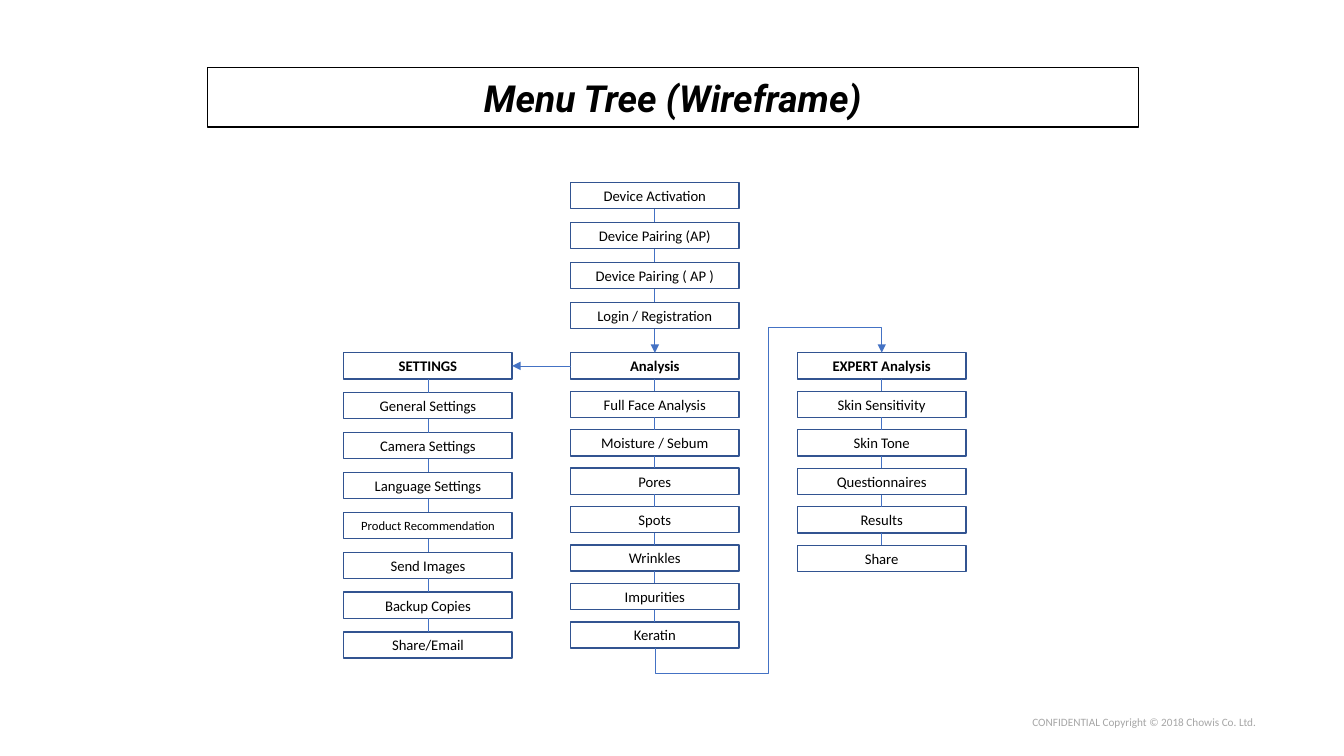
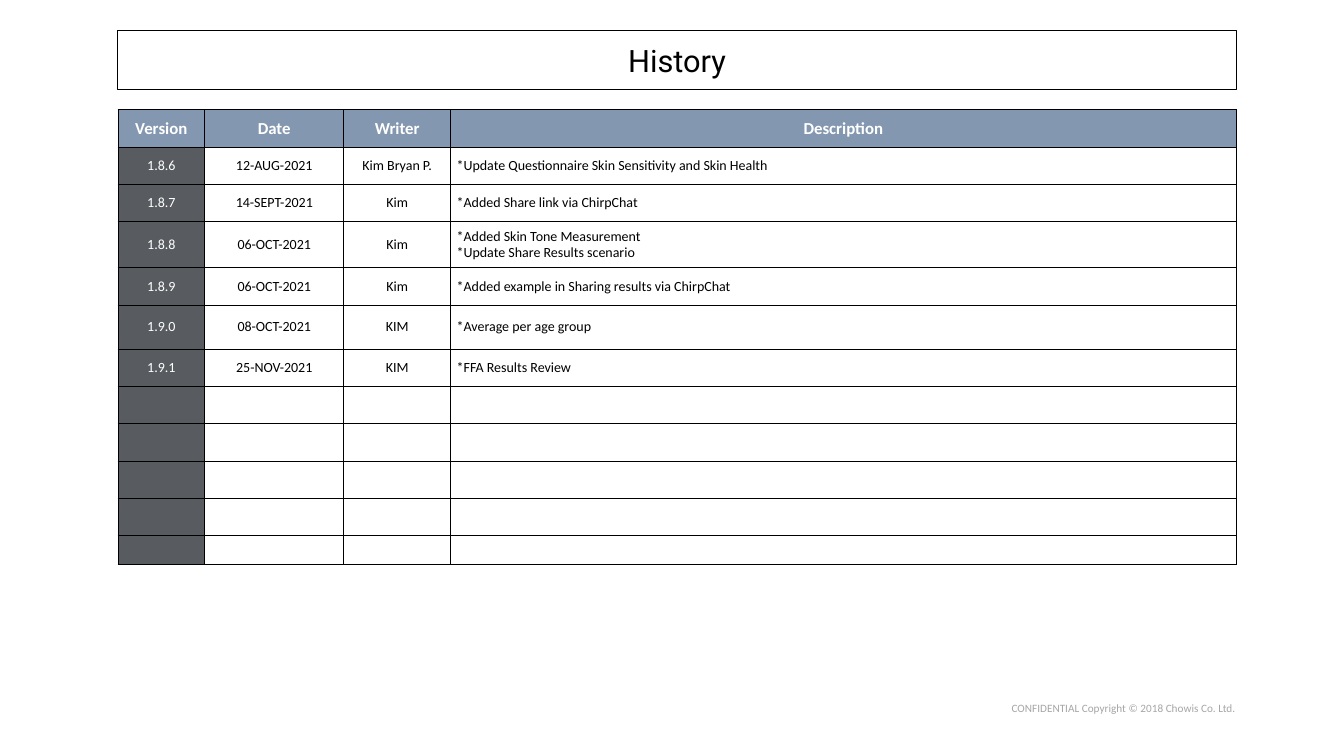
from lxml import etree
from pptx import Presentation
from pptx import util as u
from pptx.dml import color as dml
from pptx.enum import shapes, text
from pptx.oxml import ns

# Shared look
BLACK, WHITE, GRAY = "000000", "FFFFFF", "A6A6A6"
BOX_LINE, LINK = "325491", "4472C4"
HEADER_FILL, VERSION_FILL = "8497B0", "585B60"
BODY_FONT, TITLE_FONT = "Calibri", "Roboto"
FOOTER = "CONFIDENTIAL Copyright © 2018 Chowis Co. Ltd."
CENTER, LEFT = text.PP_ALIGN.CENTER, text.PP_ALIGN.LEFT
MIDDLE, TOP = text.MSO_ANCHOR.MIDDLE, text.MSO_ANCHOR.TOP
TIGHT = {f"margin_{side}": u.Inches(0.06)
         for side in ("left", "right", "top", "bottom")}

# Menu tree grid, in inches
BOX_WIDTH, BOX_HEIGHT = 1.67, 0.26
SETTINGS_X, ANALYSIS_X, EXPERT_X = 3.41, 5.66, 7.91
OVERHANG = 0.25
START_MENU = ["Device Activation", "Device Pairing (AP)",
              "Device Pairing ( AP )", "Login / Registration"]
SETTINGS_MENU = ["SETTINGS", "General Settings", "Camera Settings",
                 "Language Settings", "Product Recommendation",
                 "Send Images", "Backup Copies", "Share/Email"]
ANALYSIS_MENU = ["Analysis", "Full Face Analysis", "Moisture / Sebum",
                 "Pores", "Spots", "Wrinkles", "Impurities", "Keratin"]
EXPERT_MENU = ["EXPERT Analysis", "Skin Sensitivity", "Skin Tone",
               "Questionnaires", "Results", "Share"]

# Version history
COLUMN_WIDTHS = [0.86, 1.38, 1.06, 7.79]
ROW_HEIGHTS = [0.37, 0.37, 0.37, 0.45, 0.37, 0.44] + [0.37] * 5 + [0.28]
HISTORY = [
    ("Version", "Date", "Writer", "Description"),
    ("1.8.6", "12-AUG-2021", "Kim Bryan P.",
     "*Update Questionnaire Skin Sensitivity and Skin Health"),
    ("1.8.7", "14-SEPT-2021", "Kim", "*Added Share link via ChirpChat"),
    ("1.8.8", "06-OCT-2021", "Kim",
     "*Added Skin Tone Measurement\n*Update Share Results scenario"),
    ("1.8.9", "06-OCT-2021", "Kim",
     "*Added example in Sharing results via ChirpChat"),
    ("1.9.0", "08-OCT-2021", "KIM", "*Average per age group"),
    ("1.9.1", "25-NOV-2021", "KIM", "*FFA Results Review"),
]


def rgb(value):
    return dml.RGBColor.from_string(value)


def inches(*lengths):
    return [u.Inches(length) for length in lengths]


def apply(target, values):
    for name, value in values.items():
        setattr(target, name, value)


def write(frame, words, size, color=BLACK, align=CENTER, font=BODY_FONT,
          **extra):
    frame.text = words
    for paragraph in frame.paragraphs:
        paragraph.alignment = align
        for run in paragraph.runs:
            apply(run.font, {"name": font, "size": u.Pt(size), **extra})
            run.font.color.rgb = rgb(color)
        if not paragraph.runs:
            etree.SubElement(paragraph._p, ns.qn("a:endParaRPr"),
                             sz=str(size * 100))


def add_box(slide, at, line, width, fill=None):
    shape = slide.shapes.add_shape(shapes.MSO_SHAPE.RECTANGLE, *inches(*at))
    shape.shadow.inherit = False
    if fill:
        shape.fill.solid()
        shape.fill.fore_color.rgb = rgb(fill)
    else:
        shape.fill.background()
    shape.line.color.rgb = rgb(line)
    shape.line.width = u.Pt(width)
    apply(shape.text_frame, {"word_wrap": True, "vertical_anchor": MIDDLE})
    return shape


def add_title(slide, words, at, size, **extra):
    shape = add_box(slide, at, BLACK, 0.75)
    apply(shape.text_frame, TIGHT)
    write(shape.text_frame, words, size, font=TITLE_FONT, **extra)


def add_footer(slide, left, top, align, anchor):
    shape = slide.shapes.add_textbox(*inches(left, top, 3.19, 0.4))
    apply(shape.text_frame, {"word_wrap": True, "vertical_anchor": anchor})
    write(shape.text_frame, FOOTER, 8, GRAY, align)


def add_link(slide, start, start_side, end, end_side, arrow=False,
             kind=shapes.MSO_CONNECTOR.STRAIGHT):
    connector = slide.shapes.add_connector(kind, 0, 0, 0, 0)
    connector.begin_connect(start, start_side)
    connector.end_connect(end, end_side)
    connector.line.color.rgb = rgb(LINK)
    connector.line.width = u.Pt(0.5)
    properties = connector._element.spPr
    if arrow:
        etree.SubElement(properties.find(ns.qn("a:ln")), ns.qn("a:tailEnd"),
                         type="triangle")
    etree.SubElement(properties, ns.qn("a:effectLst"))
    return connector


def add_loop_link(slide, start, end):
    """Leave the bottom of start, climb between columns, enter end's top."""
    connector = add_link(slide, start, 2, end, 0, True,
                         shapes.MSO_CONNECTOR.ELBOW)
    across = connector.end_x - connector.begin_x
    rise = connector.begin_y - connector.end_y
    middle_x = (connector.begin_x + connector.end_x) // 2
    middle_y = (connector.begin_y + connector.end_y) // 2
    # The five-part elbow is defined sideways, so it is turned by 90 degrees
    apply(connector, {"left": middle_x - rise // 2, "width": rise,
                      "top": middle_y - across // 2, "height": across})
    properties = connector._element.spPr
    for name, value in {"rot": "5400000", "flipH": "1", "flipV": "1"}.items():
        properties.find(ns.qn("a:xfrm")).set(name, value)
    geometry = properties.find(ns.qn("a:prstGeom"))
    geometry.set("prst", "bentConnector5")
    guides = geometry.find(ns.qn("a:avLst"))
    beyond = round(u.Inches(OVERHANG) / rise * 100000)
    for number, value in enumerate((-beyond, 50000, 100000 + beyond), 1):
        etree.SubElement(guides, ns.qn("a:gd"), name=f"adj{number}",
                         fmla=f"val {value}")


def add_menu(slide, left, first_top, last_top, labels, headed=True):
    step = (last_top - first_top) / (len(labels) - 1)
    boxes = []
    for index, label in enumerate(labels):
        at = (left, first_top + index * step, BOX_WIDTH, BOX_HEIGHT)
        box = add_box(slide, at, BOX_LINE, 1, WHITE)
        size = 9 if label == "Product Recommendation" else 10.5
        write(box.text_frame, label, size, bold=headed and index == 0)
        if boxes:
            add_link(slide, boxes[-1], 2, box, 0)
        boxes.append(box)
    return boxes


def style_cell(cell, fill):
    properties = cell._tc.get_or_add_tcPr()
    for side in "LRTB":
        border = etree.SubElement(properties, ns.qn(f"a:ln{side}"),
                                  w=str(u.Pt(0.75)))
        solid = etree.SubElement(border, ns.qn("a:solidFill"))
        etree.SubElement(solid, ns.qn("a:srgbClr"), val=BLACK)
    if fill:
        cell.fill.solid()
        cell.fill.fore_color.rgb = rgb(fill)
    else:
        cell.fill.background()
    apply(cell, {**TIGHT, "vertical_anchor": MIDDLE})


def add_history_table(slide, left, top):
    table = slide.shapes.add_table(
        len(ROW_HEIGHTS), len(COLUMN_WIDTHS),
        *inches(left, top, sum(COLUMN_WIDTHS), sum(ROW_HEIGHTS))).table
    apply(table, {"first_row": False, "horz_banding": False})
    for column, width in zip(table.columns, COLUMN_WIDTHS):
        column.width = u.Inches(width)
    blank_rows = [("",) * len(COLUMN_WIDTHS)] * (len(ROW_HEIGHTS) - len(HISTORY))
    for r, values in enumerate(HISTORY + blank_rows):
        table.rows[r].height = u.Inches(ROW_HEIGHTS[r])
        for c, words in enumerate(values):
            header, version = r == 0, c == 0
            fill = HEADER_FILL if header else VERSION_FILL if version else None
            cell = table.cell(r, c)
            style_cell(cell, fill)
            write(cell.text_frame, words, 12 if header else 10,
                  WHITE if fill else BLACK,
                  LEFT if c == 3 and not header else CENTER, bold=header)


def build_menu_tree(slide):
    add_title(slide, "Menu Tree (Wireframe)", (2.06, 0.67, 9.23, 0.59), 26.6,
              bold=True, italic=True)
    start = add_menu(slide, ANALYSIS_X, 1.81, 3, START_MENU, headed=False)
    settings = add_menu(slide, SETTINGS_X, 3.5, 6.27, SETTINGS_MENU)
    analysis = add_menu(slide, ANALYSIS_X, 3.5, 6.17, ANALYSIS_MENU)
    expert = add_menu(slide, EXPERT_X, 3.5, 5.41, EXPERT_MENU)
    add_link(slide, start[-1], 2, analysis[0], 0, arrow=True)
    add_link(slide, analysis[0], 1, settings[0], 3, arrow=True)
    add_loop_link(slide, analysis[-1], expert[0])
    add_footer(slide, 10.14, 7.05, LEFT, TOP)


def build_history(slide):
    add_title(slide, "History", (1.17, 0.3, 11.09, 0.59), 22)
    add_history_table(slide, 1.17, 1.09)
    add_footer(slide, 9.55, 6.82, CENTER, MIDDLE)


def main():
    presentation = Presentation()
    apply(presentation, {"slide_width": u.Inches(13.33),
                         "slide_height": u.Inches(7.5)})
    for build in (build_menu_tree, build_history):
        build(presentation.slides.add_slide(presentation.slide_layouts[6]))
    presentation.save("out.pptx")


if __name__ == "__main__":
    main()
